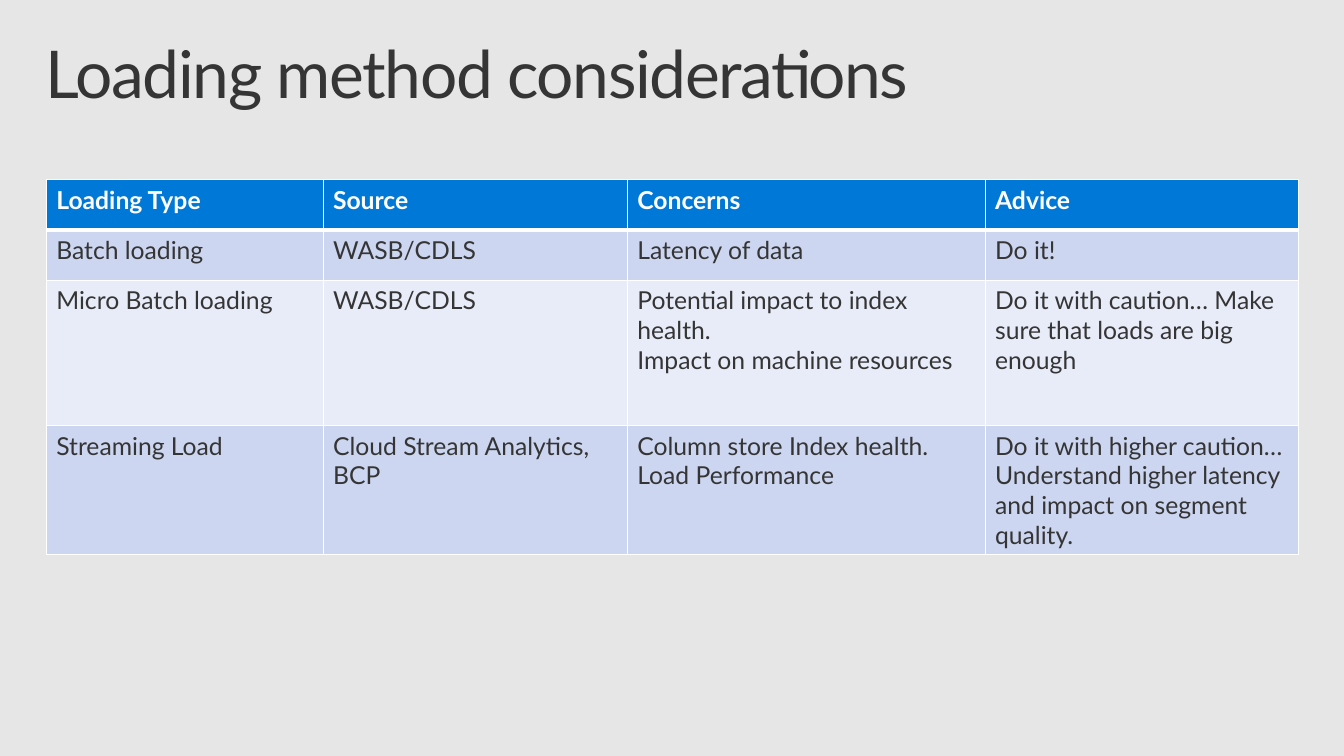
from lxml import etree
from pptx import Presentation
from pptx import util as u
from pptx.dml import color
from pptx.enum import text
from pptx.oxml import ns

INK, WHITE, HEADER, PAGE = "353535", "FFFFFF", "0078D7", "E6E6E6"
BANDS = ("CCD6F0", "E7ECF8")
COLUMN_WIDTHS = (2.8, 3.08, 3.62, 3.17)
ROW_HEIGHTS = (0.51, 0.51, 1.47, 1.3)
LOADING_METHODS = (
    ("Loading Type", "Source", "Concerns", "Advice"),
    ("Batch loading", "WASB/CDLS", "Latency of data", "Do it!"),
    ("Micro Batch loading", "WASB/CDLS",
     "Potential impact to index health.\nImpact on machine resources",
     "Do it with caution… Make sure that loads are big enough"),
    ("Streaming Load", "Cloud Stream Analytics, BCP",
     "Column store Index health.\nLoad Performance",
     "Do it with higher caution… Understand higher latency and impact on segment quality."),
)


def rgb(value):
    return color.RGBColor.from_string(value)


def write(frame, words, size=18, ink=INK, bold=False, line_spacing=None, tracking=None):
    """Fill a text frame, one paragraph per line of words."""
    frame.word_wrap = True
    for index, line in enumerate(words.split("\n")):
        para = frame.paragraphs[0] if index == 0 else frame.add_paragraph()
        if line_spacing:
            para.line_spacing = line_spacing
        span = para.add_run()
        span.text = line
        span.font.name = "Lato"
        span.font.size = u.Pt(size)
        span.font.bold = bold
        span.font.color.rgb = rgb(ink)
        if tracking:
            span.font._element.set("spc", str(int(tracking * 100)))


class SlideBuilder:
    def __init__(self, deck):
        self.page = deck.slides.add_slide(deck.slide_layouts[6])
        fill = self.page.background.fill
        fill.solid()
        fill.fore_color.rgb = rgb(PAGE)

    def title(self, words, left, top, width, height):
        box = self.page.shapes.add_textbox(*map(u.Inches, (left, top, width, height)))
        frame = box.text_frame
        frame.vertical_anchor = text.MSO_ANCHOR.TOP
        frame.margin_left = frame.margin_right = u.Inches(0.16)
        frame.margin_top = frame.margin_bottom = u.Inches(0.1)
        write(frame, words, size=48, line_spacing=0.9, tracking=-1)

    def border(self, cell, side, points):
        properties = cell._tc.get_or_add_tcPr()
        line = etree.SubElement(properties, ns.qn(f"a:ln{side}"), w=str(u.Pt(points)))
        solid = etree.SubElement(line, ns.qn("a:solidFill"))
        etree.SubElement(solid, ns.qn("a:srgbClr"), val=WHITE)

    def table(self, rows, left, top, widths, heights):
        frame = self.page.shapes.add_table(
            len(rows), len(widths), u.Inches(left), u.Inches(top),
            u.Inches(sum(widths)), u.Inches(sum(heights)))
        grid = frame.table
        grid.horz_banding = False
        for column, width in zip(grid.columns, widths):
            column.width = u.Inches(width)
        for row, height in zip(grid.rows, heights):
            row.height = u.Inches(height)
        for r, row in enumerate(rows):
            for c, words in enumerate(row):
                self.cell(grid.cell(r, c), words, r)

    def cell(self, cell, words, row):
        is_header = row == 0
        # A thick rule separates the header from the body
        for side in "LRTB":
            thick = (row, side) in ((0, "B"), (1, "T"))
            self.border(cell, side, 3 if thick else 1)
        cell.fill.solid()
        cell.fill.fore_color.rgb = rgb(HEADER if is_header else BANDS[(row - 1) % 2])
        write(cell.text_frame, words, ink=WHITE if is_header else INK, bold=is_header)


def main():
    deck = Presentation()
    deck.slide_width, deck.slide_height = u.Inches(13.6), u.Inches(7.65)
    slide = SlideBuilder(deck)

    # Heading
    slide.title("Loading method considerations", 0.3, 0.32, 13, 1)

    # Comparison of loading methods
    slide.table(LOADING_METHODS, 0.47, 1.82, COLUMN_WIDTHS, ROW_HEIGHTS)

    deck.save("out.pptx")


if __name__ == "__main__":
    main()
